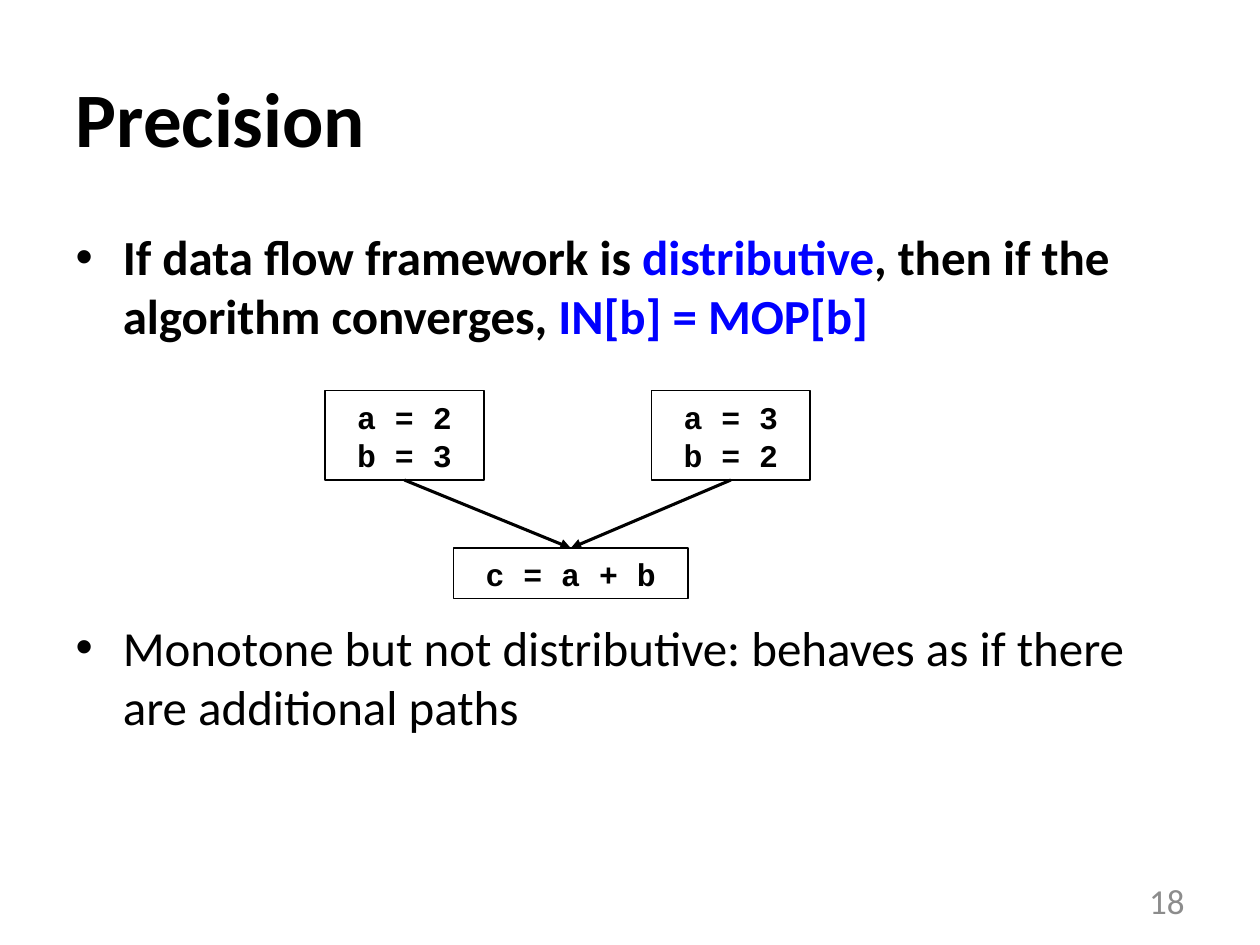
from dataclasses import dataclass

from lxml.etree import SubElement
from pptx import Presentation
from pptx.dml.color import RGBColor
from pptx.enum.shapes import MSO_CONNECTOR as Connector, MSO_SHAPE as Shape
from pptx.enum.text import MSO_ANCHOR as Anchor, PP_ALIGN as Align
from pptx.oxml.ns import qn
from pptx.util import Emu, Pt

BLACK = RGBColor(0x00, 0x00, 0x00)
BLUE = RGBColor(0x00, 0x00, 0xFF)
GRAY = RGBColor(0x8C, 0x8C, 0x8C)
EMU_PER_PX = 9144  # 100 px to the inch
TOP, BOTTOM = 0, 2  # connection sites of a rectangle


@dataclass(frozen=True)
class Block:
    left: int
    top: int
    width: int
    height: int
    lines: tuple[str, ...]


BRANCHES = (
    Block(258, 310, 126, 71, ("a = 2", "b = 3")),
    Block(517, 310, 126, 71, ("a = 3", "b = 2")),
)
JOIN = Block(360, 435, 186, 40, ("c = a + b",))


def px(*lengths: int) -> list[Emu]:
    return [Emu(length * EMU_PER_PX) for length in lengths]


def place(shape, left: int, top: int, width: int, height: int) -> None:
    shape.left, shape.top, shape.width, shape.height = px(left, top, width, height)


def add_text(paragraph, text: str, *, size: int, color: RGBColor = BLACK,
             bold: bool = False, font: str = "Calibri") -> None:
    run = paragraph.add_run()
    run.text = text
    run.font.name, run.font.size, run.font.bold = font, Pt(size), bold
    run.font.color.rgb = color


def add_block(slide, block: Block):
    shape = slide.shapes.add_shape(
        Shape.RECTANGLE, *px(block.left, block.top, block.width, block.height))
    shape.shadow.inherit = False
    shape.fill.background()
    shape.line.color.rgb = BLACK
    shape.line.width = Pt(1)
    frame = shape.text_frame
    frame.word_wrap = False
    frame.vertical_anchor = Anchor.MIDDLE
    for index, line in enumerate(block.lines):
        paragraph = frame.add_paragraph() if index else frame.paragraphs[0]
        paragraph.alignment = Align.CENTER
        paragraph.line_spacing = Pt(22)
        add_text(paragraph, line, size=18, bold=True, font="Courier New")
    return shape


def add_arrow(slide, source, target) -> None:
    arrow = slide.shapes.add_connector(Connector.STRAIGHT, 0, 0, 0, 0)
    arrow.begin_connect(source, BOTTOM)
    arrow.end_connect(target, TOP)
    arrow.line.color.rgb = BLACK
    arrow.line.width = Pt(1.75)
    SubElement(arrow.line._get_or_add_ln(), qn("a:tailEnd"), type="triangle")
    SubElement(arrow._element.spPr, qn("a:effectLst"))


def main() -> None:
    presentation = Presentation()
    presentation.slide_width, presentation.slide_height = px(1000, 750)
    slide = presentation.slides.add_slide(presentation.slide_layouts[1])

    # Title
    title = slide.shapes.title
    place(title, 50, 30, 900, 125)
    heading = title.text_frame.paragraphs[0]
    heading.alignment = Align.LEFT
    add_text(heading, "Precision", size=44, bold=True)

    # Bullets, with room for the flow graph between them
    body = slide.placeholders[1]
    place(body, 50, 175, 900, 495)
    claim = body.text_frame.paragraphs[0]
    for text, color in (
        ("If data flow framework is ", BLACK),
        ("distributive", BLUE),
        (", then if the algorithm converges, ", BLACK),
        ("IN[b] = MOP[b]", BLUE),
    ):
        add_text(claim, text, size=28, color=color, bold=True)
    remark = body.text_frame.add_paragraph()
    remark.space_before = Pt(156)
    add_text(remark, "Monotone but not distributive: behaves as if there "
                     "are additional paths", size=28)

    # Flow graph
    branches = [add_block(slide, block) for block in BRANCHES]
    join = add_block(slide, JOIN)
    for branch in branches:
        add_arrow(slide, branch, join)

    # Slide number
    number = slide.shapes.add_textbox(*px(717, 695, 233, 40)).text_frame
    number.word_wrap = True
    number.vertical_anchor = Anchor.MIDDLE
    number.paragraphs[0].alignment = Align.RIGHT
    add_text(number.paragraphs[0], "18", size=20, color=GRAY)

    presentation.save("out.pptx")


if __name__ == "__main__":
    main()
